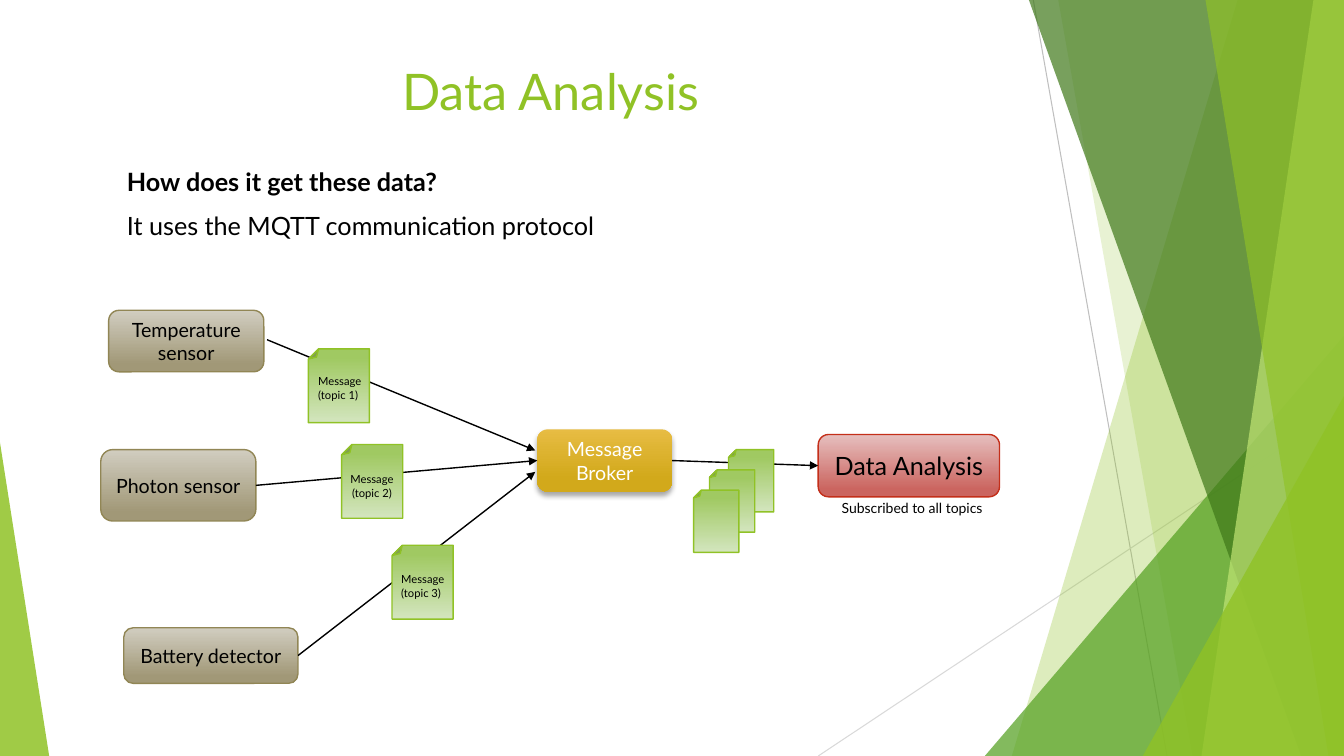
import pptx
import pptx.dml.color
import pptx.enum.shapes
import pptx.enum.text
import pptx.oxml.ns
import pptx.oxml.xmlchemy
import pptx.util

Cm = pptx.util.Cm
Pt = pptx.util.Pt
qn = pptx.oxml.ns.qn
SHAPE = pptx.enum.shapes.MSO_SHAPE
ALIGN = pptx.enum.text.PP_ALIGN
ANCHOR = pptx.enum.text.MSO_ANCHOR

WIDTH, HEIGHT = 33.87, 19.05
TOP, LEFT, BOTTOM, RIGHT = range(4)
BLACK, WHITE, GREEN = "000000", "FFFFFF", "90C226"
SENSOR_FILL, SENSOR_LINE = [(0, "D1CDC0"), (0.88, "A19877")], "918655"
BROKER_FILL = [(0, "E7BC43"), (0.78, "D2A91B")]
ANALYSIS_FILL, ANALYSIS_LINE = [(0, "E6BFBE"), (0.88, "CB6560")], "C42F1A"
MESSAGE_FILL = [(0, "D3E5BE"), (0.88, "A0C962")]


def rgb(colour):
    return pptx.dml.color.RGBColor.from_string(colour)


def add_xml(parent, tag, **attributes):
    child = pptx.oxml.xmlchemy.OxmlElement(tag)
    for name, value in attributes.items():
        child.set(name, str(int(value)) if isinstance(value, int) else value)
    parent.append(child)
    return child


def format_text(paragraph, size, colour, align=ALIGN.LEFT, bold=False):
    paragraph.alignment = align
    for run in paragraph.runs:
        run.font.name = "Lato"
        run.font.size = Pt(size)
        run.font.bold = bold
        run.font.color.rgb = rgb(colour)


def add_text(slide, box, lines, size, align=ALIGN.LEFT, bold_first=False):
    frame = slide.shapes.add_textbox(*map(Cm, box)).text_frame
    frame.word_wrap = True
    for index, line in enumerate(lines):
        paragraph = frame.add_paragraph() if index else frame.paragraphs[0]
        paragraph.text = line
        if len(lines) > 1:
            paragraph.space_before = Pt(10)
        format_text(paragraph, size, BLACK, align, bold_first and index == 0)


def fill_gradient(shape, stops, line):
    shape.shadow.inherit = False
    shape.fill.gradient()
    shape.fill.gradient_angle = 270
    for stop, (position, colour) in zip(shape.fill.gradient_stops, stops):
        stop.position = position
        stop.color.rgb = rgb(colour)
    if line:
        shape.line.color.rgb = rgb(line)
        shape.line.width = Pt(1)
    else:
        shape.line.fill.background()


def add_node(slide, box, label, stops, line, size=14, colour=BLACK):
    node = slide.shapes.add_shape(SHAPE.ROUNDED_RECTANGLE, *map(Cm, box))
    fill_gradient(node, stops, line)
    node.text_frame.text = label
    node.text_frame.word_wrap = True
    node.text_frame.vertical_anchor = ANCHOR.MIDDLE
    format_text(node.text_frame.paragraphs[0], size, colour, ALIGN.CENTER)
    return node


def add_drop_shadow(shape):
    effects = shape.element.spPr.find(qn("a:effectLst"))
    shadow = add_xml(effects, "a:outerShdw", blurRad=Pt(4), dist=Pt(3),
                     dir=90 * 60000, rotWithShape=0)
    add_xml(add_xml(shadow, "a:srgbClr", val=BLACK), "a:alpha", val=35000)


def add_message(slide, left, top, width, height):
    message = slide.shapes.add_shape(SHAPE.FOLDED_CORNER, Cm(left), Cm(top), Cm(width), Cm(height))
    message.rotation = 180
    fill_gradient(message, MESSAGE_FILL, GREEN)


def add_line(slide, start, end, colour=BLACK, width=1, arrow=False):
    line = slide.shapes.add_connector(
        pptx.enum.shapes.MSO_CONNECTOR.STRAIGHT, *map(Cm, start + end))
    line.line.color.rgb = rgb(colour)
    line.line.width = Pt(width)
    properties = line.element.spPr
    if arrow:
        add_xml(properties.find(qn("a:ln")), "a:tailEnd", type="triangle")
    add_xml(properties, "a:effectLst")
    return line


def fill_translucent(shape, colour, opacity):
    shape.shadow.inherit = False
    shape.fill.solid()
    shape.fill.fore_color.rgb = rgb(colour)
    shape.line.fill.background()
    srgb = shape.element.spPr.find(qn("a:solidFill")).find(qn("a:srgbClr"))
    add_xml(srgb, "a:alpha", val=opacity * 1000)


def add_band(slide, top_x, bottom_x, colour, opacity):
    builder = slide.shapes.build_freeform(Cm(top_x), Cm(0))
    corners = [(WIDTH, 0), (WIDTH, HEIGHT), (bottom_x, HEIGHT)]
    builder.add_line_segments([(Cm(x), Cm(y)) for x, y in corners], close=True)
    fill_translucent(builder.convert_to_shape(), colour, opacity)


def add_wedge(slide, left, top, width, tip, colour, opacity):
    wedge = slide.shapes.add_shape(
        SHAPE.ISOSCELES_TRIANGLE, Cm(left), Cm(top), Cm(width), Cm(HEIGHT - top))
    wedge.adjustments[0] = tip
    fill_translucent(wedge, colour, opacity)


def add_backdrop(slide):
    add_line(slide, (26.04, 0), (29.41, HEIGHT), "BFBFBF", 0.75)
    add_line(slide, (WIDTH, 10.24), (20.62, HEIGHT), "D9D9D9", 0.75)
    add_band(slide, 31.19, 25.5, GREEN, 30)
    add_band(slide, 26.67, 30.05, GREEN, 20)
    add_wedge(slide, 24.82, 8.46, 9.05, 1, "54A021", 72)
    add_band(slide, 25.93, 32.79, "3F7819", 70)
    add_band(slide, 33.1, 30.28, "C0E474", 70)
    add_band(slide, 30.38, 33.48, GREEN, 65)
    add_wedge(slide, 28.8, 9.98, 5.07, 1, GREEN, 80)
    add_wedge(slide, 0, 11.15, 1.24, 0, GREEN, 85)


def set_title(slide, text):
    title = slide.shapes.title
    title.left, title.top, title.width, title.height = map(Cm, (9.88, 1.4, 11.81, 1.8))
    title.text_frame.text = text
    title.text_frame.vertical_anchor = ANCHOR.TOP
    format_text(title.text_frame.paragraphs[0], 36, GREEN)


def add_message_flow(slide):
    temperature, photon, battery = [
        add_node(slide, box, label, SENSOR_FILL, SENSOR_LINE)
        for box, label in [
            ((2.74, 7.82, 3.91, 1.55), "Temperature sensor"),
            ((2.54, 11.33, 3.91, 1.8), "Photon sensor"),
            ((3.12, 15.82, 4.39, 1.4), "Battery detector"),
        ]]
    broker = add_node(slide, (13.54, 10.82, 3.4, 1.57), "Message Broker",
                      BROKER_FILL, None, colour=WHITE)
    add_drop_shadow(broker)
    analysis = add_node(slide, (20.62, 10.95, 4.57, 1.57), "Data Analysis",
                        ANALYSIS_FILL, ANALYSIS_LINE, 18)

    add_line(slide, (6.73, 8.56), (13.49, 11.35), arrow=True)
    photon_link = add_line(slide, (6.45, 12.23), (13.54, 11.61), arrow=True)
    photon_link.begin_connect(photon, RIGHT)
    photon_link.end_connect(broker, LEFT)
    battery_link = add_line(slide, (7.51, 16.52), (13.49, 11.89), arrow=True)
    battery_link.begin_connect(battery, RIGHT)
    analysis_link = add_line(slide, (16.94, 11.61), (20.62, 11.74), arrow=True)
    analysis_link.begin_connect(broker, RIGHT)
    analysis_link.end_connect(analysis, LEFT)

    topics = [
        ((7.77, 8.79), (7.77, 9.32, 1.78, 1.7), ALIGN.LEFT),
        ((8.61, 11.2), (8.46, 11.79, 1.83, 0.94), ALIGN.CENTER),
        ((9.88, 13.74), (9.86, 14.3, 1.88, 1.7), ALIGN.LEFT),
    ]
    for number, (corner, label_box, align) in enumerate(topics, 1):
        add_message(slide, *corner, 1.54, 1.86)
        add_text(slide, label_box, [f"Message\v(topic {number})"], 8, align)

    for step, left in enumerate((18.36, 17.88, 17.48)):
        add_message(slide, left, 11.33 + 0.51 * step, 1.14, 1.57)
    add_text(slide, (20.96, 12.47, 4.24, 0.69), ["Subscribed to all topics"], 10)


def main():
    presentation = pptx.Presentation()
    presentation.slide_width, presentation.slide_height = Cm(WIDTH), Cm(HEIGHT)
    slide = presentation.slides.add_slide(presentation.slide_layouts[5])
    add_backdrop(slide)
    set_title(slide, "Data Analysis")
    add_text(slide, (2.95, 4.06, 17.63, 2.16),
             ["How does it get these data?", "It uses the MQTT communication protocol"],
             18, bold_first=True)
    add_message_flow(slide)
    presentation.save("out.pptx")


if __name__ == "__main__":
    main()
